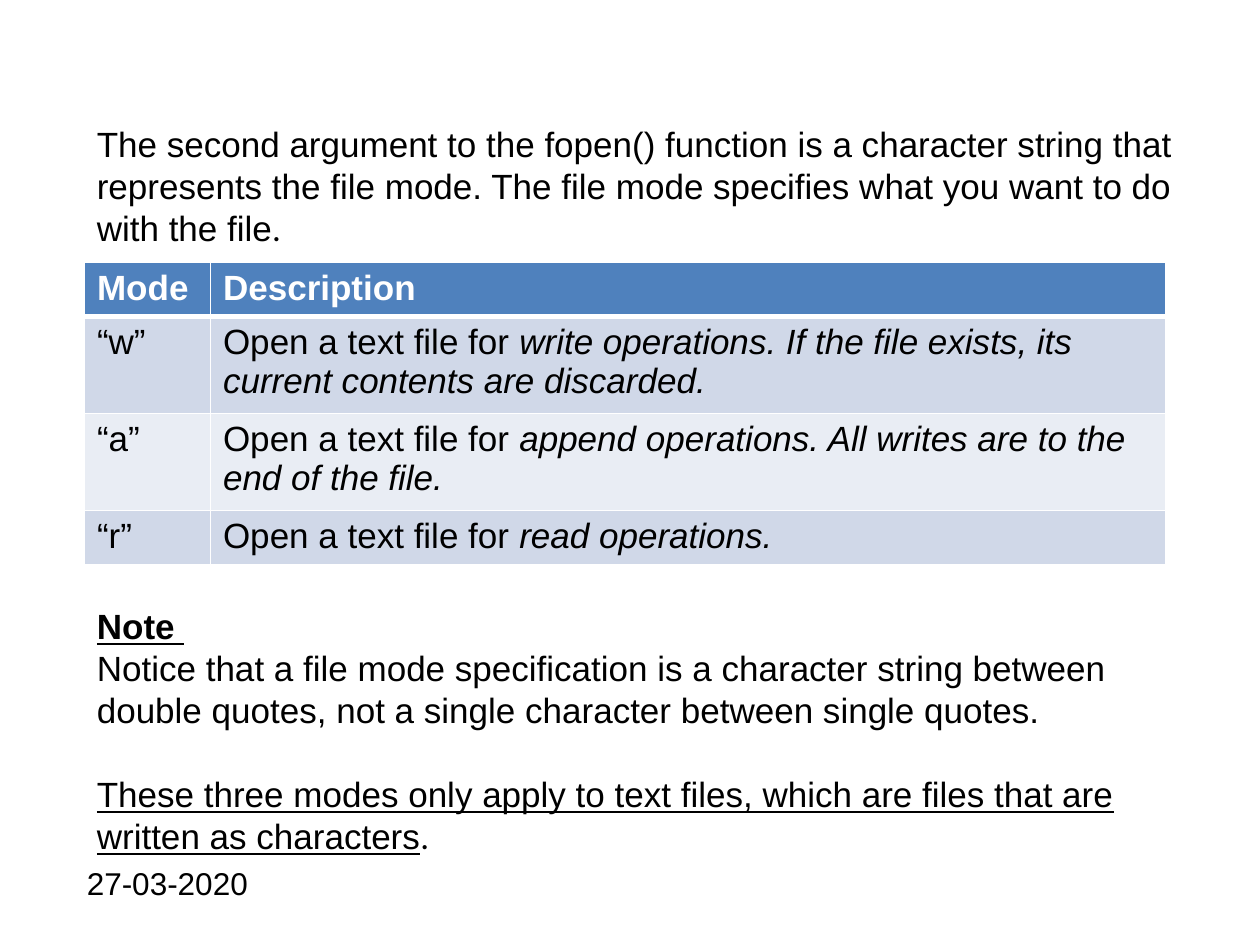
from pptx import Presentation
from pptx.dml.color import RGBColor
from pptx.enum.text import MSO_ANCHOR
from pptx.oxml import parse_xml
from pptx.oxml.ns import nsdecls
from pptx.util import Inches, Pt

BLACK = RGBColor(0x00, 0x00, 0x00)
WHITE = RGBColor(0xFF, 0xFF, 0xFF)
HEADER_BLUE = RGBColor(0x4F, 0x81, 0xBD)
BAND_COLORS = (RGBColor(0xD0, 0xD8, 0xE8), RGBColor(0xE9, 0xED, 0xF4))

INTRO = ("The second argument to the fopen() function is a character string that represents "
         "the file mode. The file mode specifies what you want to do with the file")
NOTICE = ("Notice that a file mode specification is a character string between double quotes, "
          "not a single character between single quotes.")
SCOPE = ("These three modes only apply to text files, which are files that are written "
         "as characters")
MODES = (
    ("“w”", "write operations. If the file exists, its current contents are discarded."),
    ("“a”", "append operations. All writes are to the end of the file."),
    ("“r”", "read operations."),
)


def add_span(para, text, size=20, color=BLACK, name="Arial", bold=False, italic=False,
             underline=False):
    """Append one formatted run to a paragraph."""
    span = para.add_run()
    span.text = text
    font = span.font
    font.name, font.size, font.color.rgb = name, Pt(size), color
    font.bold, font.italic, font.underline = bold, italic, underline


def add_text_box(page, left, top, width, height):
    """Add a wrapping text box and return its frame."""
    box = page.shapes.add_textbox(Inches(left), Inches(top), Inches(width), Inches(height))
    box.text_frame.word_wrap = True
    return box.text_frame


def add_introduction(page, *bounds):
    """Place the opening paragraph."""
    para = add_text_box(page, *bounds).paragraphs[0]
    para.line_spacing = Pt(24)
    add_span(para, INTRO)
    add_span(para, ".", name="Calibri")


def add_date(page, *bounds):
    """Place the date at the foot of the page."""
    frame = add_text_box(page, *bounds)
    frame.vertical_anchor = MSO_ANCHOR.MIDDLE
    add_span(frame.paragraphs[0], "27-03-2020", size=18)


def style_cell(cell, fill, bottom_width=1, top_width=1):
    """Give a cell its fill and white borders."""
    properties = cell._tc.get_or_add_tcPr()
    widths = {"lnL": 1, "lnR": 1, "lnT": top_width, "lnB": bottom_width}
    for tag, width in widths.items():
        properties.append(parse_xml(
            f'<a:{tag} {nsdecls("a")} w="{Pt(width)}"><a:solidFill>'
            f'<a:srgbClr val="{WHITE}"/></a:solidFill></a:{tag}>'))
    cell.fill.solid()
    cell.fill.fore_color.rgb = fill


def add_mode_table(page, left, top, width, height):
    """Place the table of file modes."""
    table = page.shapes.add_table(
        len(MODES) + 1, 2, Inches(left), Inches(top), Inches(width), Inches(height)).table
    for column, size in zip(table.columns, (1, width - 1)):
        column.width = Inches(size)
    for row, size in zip(table.rows, (0.43, 0.77, 0.77, 0.43)):
        row.height = Inches(size)
    for column, heading in enumerate(("Mode", "Description")):
        cell = table.cell(0, column)
        style_cell(cell, HEADER_BLUE, bottom_width=3)
        add_span(cell.text_frame.paragraphs[0], heading, color=WHITE, bold=True)
    for index, (mode, description) in enumerate(MODES):
        cells = [table.cell(index + 1, column) for column in range(2)]
        for cell in cells:
            style_cell(cell, BAND_COLORS[index % 2], top_width=1 if index else 3)
        mode_para, description_para = (cell.text_frame.paragraphs[0] for cell in cells)
        mode_para.line_spacing = description_para.line_spacing = Pt(22.3)
        add_span(mode_para, mode)
        add_span(description_para, "Open a text file for ")
        add_span(description_para, description, italic=True)


def add_note(page, *bounds):
    """Place the closing note."""
    frame = add_text_box(page, *bounds)
    heading, notice, scope = frame.paragraphs[0], frame.add_paragraph(), frame.add_paragraph()
    for para in (heading, notice, scope):
        para.line_spacing = Pt(24)
    scope.space_before = Pt(24)
    add_span(heading, "Note ", bold=True, underline=True)
    add_span(notice, NOTICE)
    add_span(scope, SCOPE, underline=True)
    add_span(scope, ".", name="Calibri")


def build_deck():
    """Build and save the file mode slide."""
    deck = Presentation()
    deck.slide_width, deck.slide_height = Inches(10), Inches(7.5)
    page = deck.slides.add_slide(deck.slide_layouts[6])
    add_introduction(page, 0.67, 0.92, 8.76, 1.11)
    add_date(page, 0.59, 6.77, 1.52, 0.47)
    add_mode_table(page, 0.67, 2.08, 8.58, 2.4)
    add_note(page, 0.67, 4.75, 8.42, 2.12)
    deck.save("out.pptx")


build_deck()
